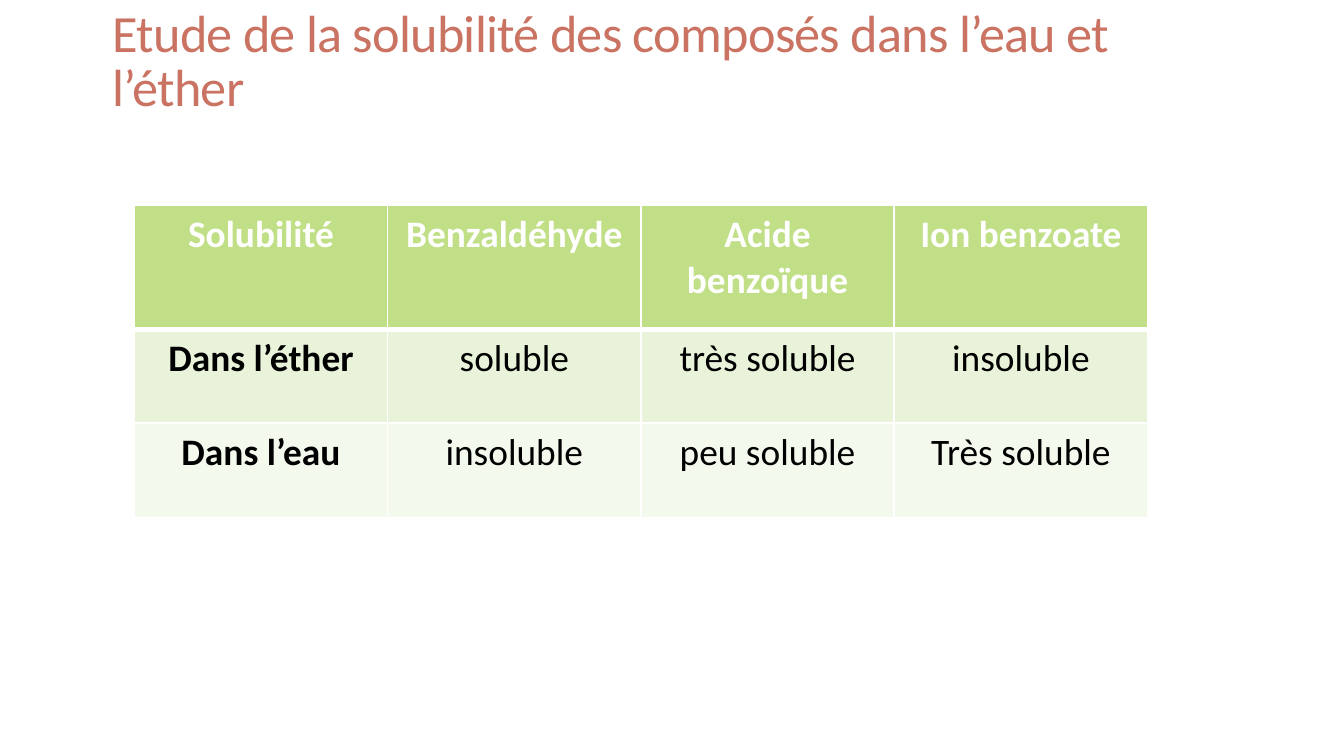
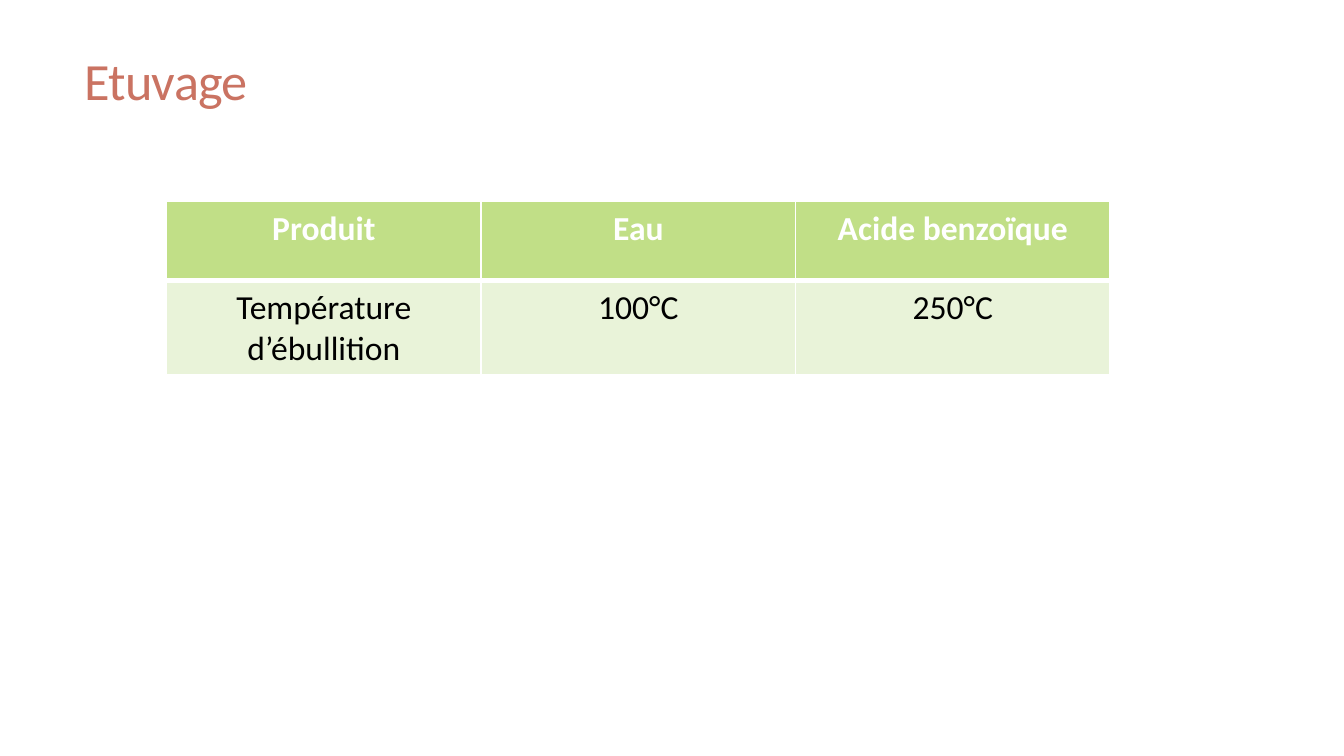
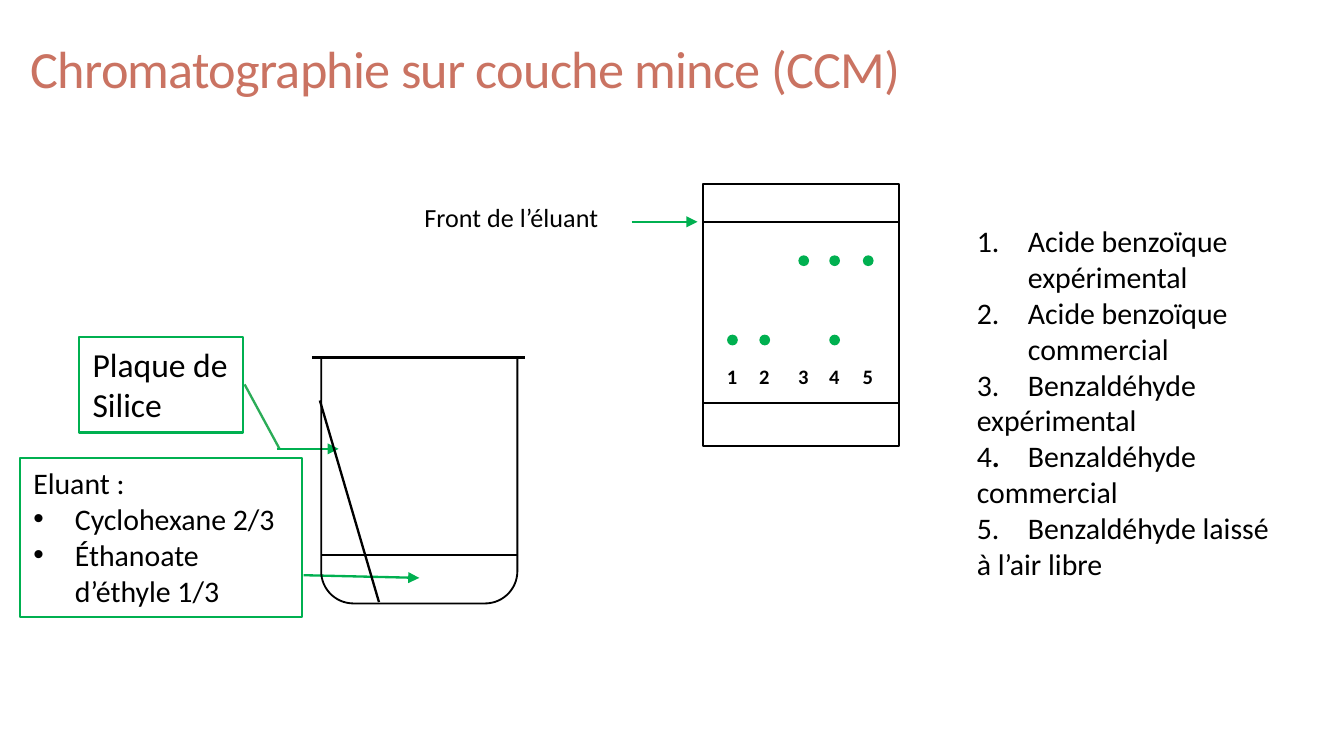
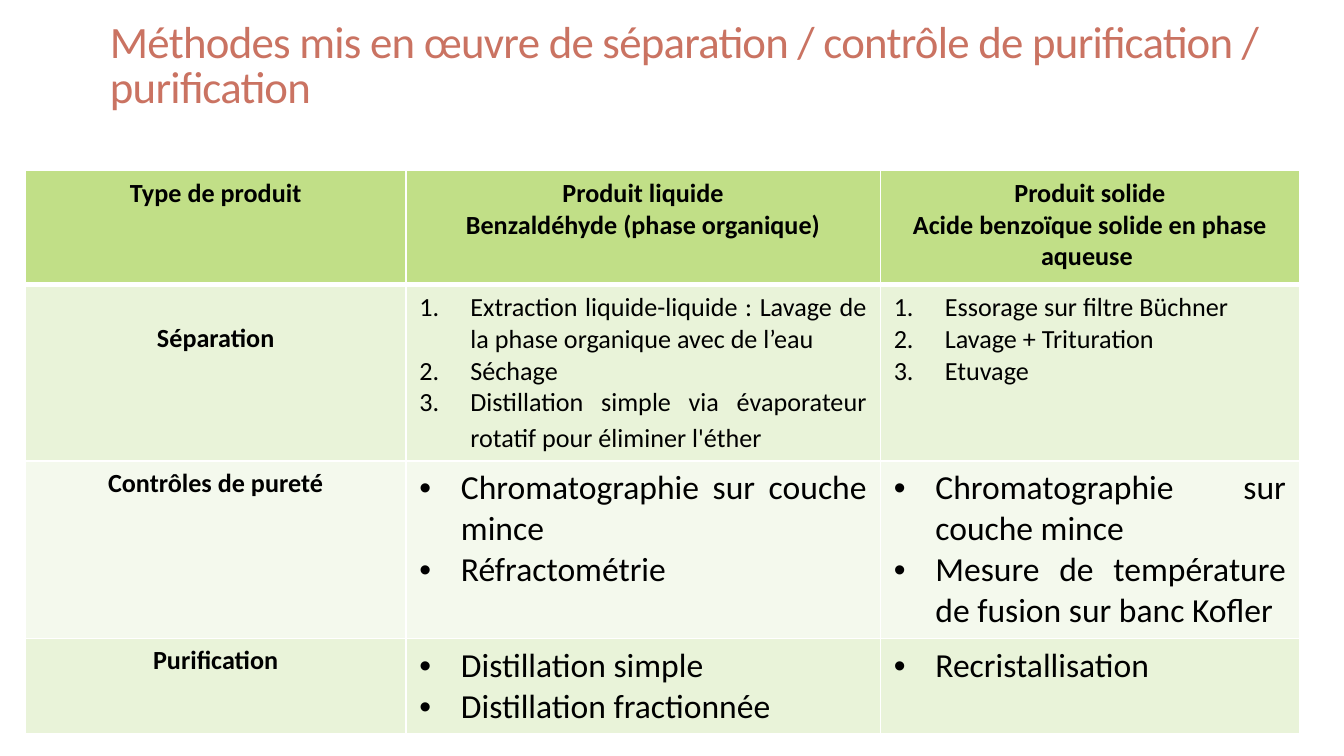
from math import cos, sin, radians
from lxml.etree import SubElement as Sub
from pptx import Presentation
from pptx.dml.color import RGBColor as Rgb
from pptx.enum.shapes import MSO_CONNECTOR as Link, MSO_SHAPE as Kind
from pptx.enum.text import MSO_ANCHOR as Anchor, PP_ALIGN as Align
from pptx.oxml.ns import qn
from pptx.util import Inches, Pt

FONT = "Calibri"
WHITE = Rgb(0xFF, 0xFF, 0xFF)
BLACK = Rgb(0x00, 0x00, 0x00)
CORAL = Rgb(0xCA, 0x73, 0x62)
GREEN = Rgb(0x00, 0xB0, 0x50)
LEAF = Rgb(0x2B, 0xAC, 0x57)
HEAD = Rgb(0xC1, 0xDF, 0x87)
BANDS = Rgb(0xE9, 0xF3, 0xD9), Rgb(0xF4, 0xF9, 0xED)
DOT = dict(mark="dot", align=Align.JUSTIFY, size=18)
NUM = dict(mark="num", align=Align.JUSTIFY, size=14)


def set_mark(para, mark):
    props = para._p.get_or_add_pPr()
    if mark == "tab":
        stops = Sub(props, qn("a:tabLst"))
        Sub(stops, qn("a:tab"), pos=str(Inches(0.38)), algn="l")
        return
    ind = Inches(0.31 if mark == "dot" else 0.38)
    props.set("marL", str(ind))
    props.set("indent", str(-ind))
    if mark == "dot":
        Sub(props, qn("a:buFont"), typeface="Arial")
        Sub(props, qn("a:buChar"), char="•")
    else:
        Sub(props, qn("a:buFont"), typeface="+mj-lt")
        Sub(props, qn("a:buAutoNum"), type="arabicPeriod")


def write(frame, *lines, size=14, color=BLACK, bold=False,
          align=Align.LEFT, mark=None, space=None, track=None):
    for line in lines:
        para = frame.paragraphs[-1]
        if para.runs:
            para = frame.add_paragraph()
        para.alignment = align
        if space:
            para.line_spacing = space
        if mark:
            set_mark(para, mark)
        parts = [(line, {})] if isinstance(line, str) else line
        for words, own in parts:
            run = para.add_run()
            run.text = words
            font = run.font
            font.name = FONT
            font.size = Pt(own.get("size", size))
            font.bold = own.get("bold", bold)
            font.color.rgb = color
            if track:
                run._r.get_or_add_rPr().set("spc", str(track))


def add_text(slide, box, *lines, wrap=True, anchor=Anchor.TOP, **form):
    frame = slide.shapes.add_textbox(*map(Inches, box)).text_frame
    frame.word_wrap = wrap
    frame.vertical_anchor = anchor
    write(frame, *lines, **form)
    return frame


def add_title(slide, box, words, size=28):
    add_text(slide, box, words, anchor=Anchor.BOTTOM, size=size,
             color=CORAL, space=0.85, track=-40)


def add_box(slide, kind, box, fill, edge=None):
    shape = slide.shapes.add_shape(kind, *map(Inches, box))
    shape.shadow.inherit = False
    shape.fill.solid()
    shape.fill.fore_color.rgb = fill
    if edge is None:
        shape.line.fill.background()
    else:
        shape.line.color.rgb = edge
        shape.line.width = Pt(1.25)
    frame = shape.text_frame
    frame.word_wrap = True
    frame.vertical_anchor = Anchor.TOP
    return frame


def add_line(slide, start, end, color=BLACK, width=1.25, arrow=False):
    line = slide.shapes.add_connector(Link.STRAIGHT, *map(Inches, start + end))
    line.line.color.rgb = color
    line.line.width = Pt(width)
    props = line.element.spPr
    if arrow:
        Sub(props.find(qn("a:ln")), qn("a:tailEnd"), type="triangle")
    Sub(props, qn("a:effectLst"))


def style_cell(cell, row):
    props = cell._tc.get_or_add_tcPr()
    for side in "LRTB":
        thick = (row, side) in ((0, "B"), (1, "T"))
        edge = Sub(props, qn("a:ln" + side), w=str(Pt(3 if thick else 1)))
        fill = Sub(edge, qn("a:solidFill"))
        Sub(fill, qn("a:srgbClr"), val=str(WHITE))
    cell.fill.solid()
    cell.fill.fore_color.rgb = BANDS[(row - 1) % 2] if row else HEAD


def add_grid(slide, left, top, cols, rows, cells):
    box = left, top, sum(cols), sum(rows)
    table = slide.shapes.add_table(
        len(rows), len(cols), *map(Inches, box)).table
    table.first_row = table.horz_banding = False
    for col, width in zip(table.columns, cols):
        col.width = Inches(width)
    for row, high in zip(table.rows, rows):
        row.height = Inches(high)
    for r, line in enumerate(cells):
        for c, (lines, form) in enumerate(line):
            cell = table.cell(r, c)
            style_cell(cell, r)
            write(cell.text_frame, *lines, **form)
    return table


def plain(rows, size, side):
    def form(r, c):
        return dict(size=size, align=Align.CENTER,
                    bold=r == 0 or (side and c == 0),
                    color=BLACK if r else WHITE)
    return [[([words], form(r, c)) for c, words in enumerate(row)]
            for r, row in enumerate(rows)]


def add_beaker(slide, left, top, wide, high):
    right, base, rad = left + wide, top + high, 0.24

    def bend(mid, start):
        return [(mid + rad * cos(radians(a)), base - rad + rad * sin(radians(a)))
                for a in range(start, start - 91, -6)]

    points = bend(left + rad, 180) + bend(right - rad, 90) + [(right, top)]
    pen = slide.shapes.build_freeform(Inches(left), Inches(top))
    pen.add_line_segments([(Inches(x), Inches(y)) for x, y in points],
                          close=False)
    glass = pen.convert_to_shape()
    glass.shadow.inherit = False
    glass.fill.background()
    glass.line.color.rgb = BLACK
    glass.line.width = Pt(1)
    add_line(slide, (left, top + 1.46), (right, top + 1.46), width=1)
    add_line(slide, (left - 0.07, top - 0.01), (right + 0.06, top - 0.01))
    add_line(slide, (left - 0.01, top + 0.31), (left + 0.43, top + 1.81))


def add_plate(slide, left, top, wide, high):
    add_box(slide, Kind.RECTANGLE, (left, top, wide, high), WHITE, BLACK)
    for y in (0.28, 1.63):
        add_line(slide, (left, top + y), (left + wide, top + y), width=1)
    lanes = 0.08, 0.32, 0.61, 0.84, 1.09
    spots = {0.53: (3, 4, 5), 1.12: (1, 2, 4)}
    for num, lane in enumerate(lanes, 1):
        x = left + lane
        add_text(slide, (x, top + 1.29, 0.25, 0.29), str(num),
                 size=11, bold=True)
        for y, group in spots.items():
            if num in group:
                add_box(slide, Kind.OVAL, (x + 0.1, top + y, 0.08, 0.08), GREEN)


def add_labels(slide, left, top):
    eluant = add_box(slide, Kind.RECTANGLE,
                     (left, top + 0.9, 2.1, 1.18), WHITE, GREEN)
    write(eluant, "Eluant :", size=16)
    write(eluant, "Cyclohexane 2/3", "Éthanoate d’éthyle 1/3",
          size=16, mark="dot")
    plaque = add_box(slide, Kind.RECTANGLE,
                     (left + 0.44, top, 1.22, 0.71), WHITE, GREEN)
    write(plaque, "Plaque de Silice", size=18)
    add_line(slide, (left + 2.11, top + 1.77), (left + 2.97, top + 1.79),
             GREEN, arrow=True)
    add_line(slide, (left + 1.93, top + 0.83), (left + 1.67, top + 0.35), LEAF)
    add_line(slide, (left + 1.91, top + 0.83), (left + 2.37, top + 0.83),
             GREEN, arrow=True)


def add_legend(slide, box):
    frame = add_text(slide, box, "Acide benzoïque expérimental",
                     "Acide benzoïque commercial", size=16, mark="num")
    write(frame, "3.\tBenzaldéhyde expérimental",
          [("4", {}), (".\t", {"bold": True}), ("Benzaldéhyde commercial", {})],
          "5.\tBenzaldéhyde laissé à l’air libre", size=16, mark="tab")


def solubility(slide):
    add_title(slide, (0.74, 0.16, 8.25, 0.76),
              "Etude de la solubilité des composés dans l’eau et l’éther")
    rows = [
        ("Solubilité", "Benzaldéhyde", "Acide benzoïque", "Ion benzoate"),
        ("Dans l’éther", "soluble", "très soluble", "insoluble"),
        ("Dans l’eau", "insoluble", "peu soluble", "Très soluble"),
    ]
    add_grid(slide, 1, 1.53, [7.54 / 4] * 4, [0.92, 0.7, 0.7],
             plain(rows, 20, True))


def drying(slide):
    add_title(slide, (0.53, 0.12, 8.25, 0.76), "Etuvage")
    rows = [
        ("Produit", "Eau", "Acide benzoïque"),
        ("Température d’ébullition", "100°C", "250°C"),
    ]
    add_grid(slide, 1.24, 1.5, [2.34] * 3, [0.59] * 2, plain(rows, 18, False))


def thin_layer(slide):
    add_title(slide, (0.13, 0.03, 9.87, 0.76),
              "Chromatographie sur couche mince (CCM)")
    add_labels(slide, 0.15, 2.51)
    add_beaker(slide, 2.39, 2.67, 1.46, 1.82)
    add_plate(slide, 5.23, 1.37, 1.46, 1.95)
    add_legend(slide, (7.17, 1.61, 2.49, 2.79))
    add_text(slide, (3.06, 1.45, 1.53, 0.34), "Front de l’éluant", wrap=False)
    add_line(slide, (4.7, 1.65), (5.19, 1.65), GREEN, arrow=True)


def methods(slide):
    add_title(slide, (0.72, 0.13, 9, 0.76),
              "Méthodes mis en œuvre de séparation / contrôle de purification"
              " / purification", size=24)
    name = dict(bold=True, align=Align.CENTER)
    last = [("Distillation simple via évaporateur rotatif pour éliminer l'éther",
             {}), (" ", {"size": 16})]
    cells = [
        [(["Type de produit"], name),
         (["Produit liquide", "Benzaldéhyde (phase organique)"], name),
         (["Produit solide", "Acide benzoïque solide en phase aqueuse "], name)],
        [(["Séparation"], name),
         (["Extraction liquide-liquide : Lavage de la phase organique"
           " avec de l’eau", "Séchage", last], NUM),
         (["Essorage sur filtre Büchner", "Lavage + Trituration", "Etuvage"],
          NUM)],
        [(["Contrôles de pureté"], name),
         (["Chromatographie sur couche mince", "Réfractométrie"], DOT),
         (["Chromatographie sur couche mince",
           "Mesure de température de fusion sur banc Kofler"], DOT)],
        [(["Purification"], name),
         (["Distillation simple", "Distillation fractionnée"], DOT),
         (["Recristallisation"], DOT)],
    ]
    table = add_grid(slide, 0.19, 1.27, [2.83, 3.53, 3.12],
                     [0.85, 1.31, 1.32, 0.71], cells)
    table.cell(1, 0).margin_top = Inches(0.28)


def main():
    deck = Presentation()
    deck.slide_width = Inches(10)
    deck.slide_height = deck.slide_width * 9 // 16
    for build in (solubility, drying, thin_layer, methods):
        build(deck.slides.add_slide(deck.slide_layouts[6]))
    deck.save("out.pptx")


if __name__ == "__main__":
    main()
